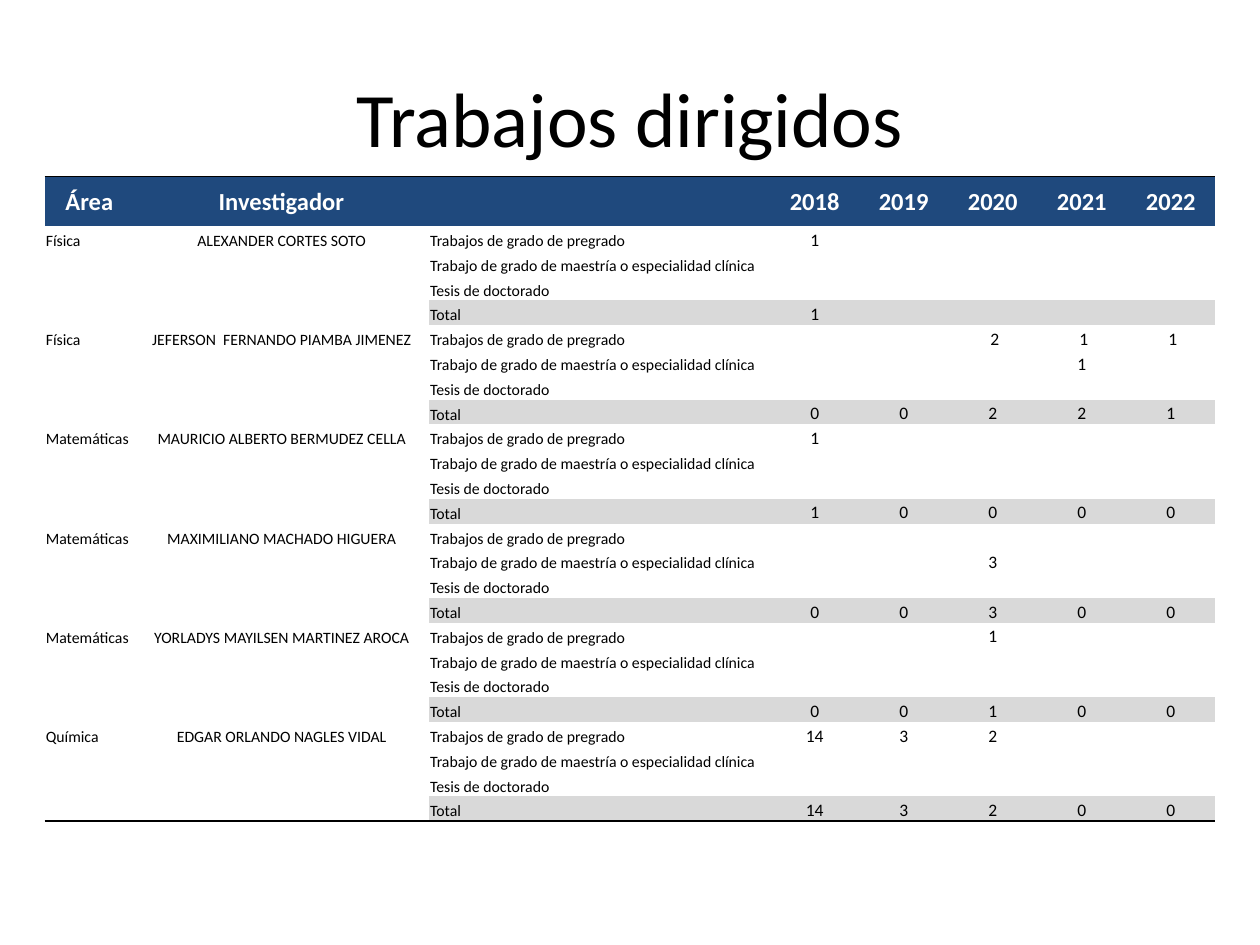
from lxml import etree
from pptx import Presentation
from pptx.dml.color import RGBColor
from pptx.enum import text
from pptx.oxml import ns
from pptx.util import Pt

BLACK = RGBColor(0, 0, 0)
WHITE = RGBColor(255, 255, 255)
NAVY = RGBColor(0x1F, 0x49, 0x7D)
GREY = RGBColor(0xD9, 0xD9, 0xD9)
FONT = "Calibri"
PLAIN = "{2D5ABB26-0587-4C30-8999-92F81FD0307C}"
LEFT, MID = text.PP_ALIGN.LEFT, text.PP_ALIGN.CENTER

WIDTHS = [51.1, 168.5, 195] + [50.9] * 5
HEAD_H, ROW_H = 28.1, 14.19
HEADS = ["Área", "Investigador", "", "2018", "2019", "2020", "2021", "2022"]
KINDS = ["Trabajos de grado de pregrado",
         "Trabajo de grado de maestría o especialidad clínica",
         "Tesis de doctorado", "Total"]
NONE = [""] * 5
# Area, researcher, then the yearly counts for each of the four kinds
GROUPS = [
    ("Física", "ALEXANDER CORTES SOTO",
     [["1", "", "", "", ""], NONE, NONE, ["1", "", "", "", ""]]),
    ("Física", "JEFERSON  FERNANDO PIAMBA JIMENEZ",
     [["", "", "\u00a02", "\u00a01", "\u00a01"], ["", "", "", "1", ""],
      NONE, list("00221")]),
    ("Matemáticas", "MAURICIO ALBERTO BERMUDEZ CELLA",
     [["1", "", "", "", ""], NONE, NONE, list("10000")]),
    ("Matemáticas", "MAXIMILIANO MACHADO HIGUERA",
     [NONE, ["", "", "3", "", ""], NONE, list("00300")]),
    ("Matemáticas", "YORLADYS MAYILSEN MARTINEZ AROCA",
     [["", "", "1", "", ""], NONE, NONE, list("00100")]),
    ("Química", "EDGAR ORLANDO NAGLES VIDAL",
     [["14", "3", "2", "", ""], NONE, NONE, ["14", "3", "2", "0", "0"]]),
]


def add_run(para, words, size, color, bold=False):
    """Add one formatted run to a paragraph."""
    run = para.add_run()
    run.text = words
    run.font.name, run.font.size, run.font.bold = FONT, Pt(size), bold
    run.font.color.rgb = color


def add_title(slide, words):
    """Add the centred slide title."""
    box = slide.shapes.add_textbox(Pt(36), Pt(21.6), Pt(648), Pt(90))
    frame = box.text_frame
    frame.word_wrap = True
    frame.vertical_anchor = text.MSO_ANCHOR.MIDDLE
    para = frame.paragraphs[0]
    para.alignment = MID
    add_run(para, words, 44, BLACK)


def set_cell(cell, words, size, align, color=BLACK, fill=None, head=False):
    """Write and format one table cell."""
    cell.margin_left = cell.margin_right = cell.margin_top = Pt(0.7)
    cell.margin_bottom = Pt(0)
    anchor = text.MSO_ANCHOR
    cell.vertical_anchor = anchor.MIDDLE if head else anchor.BOTTOM
    para = cell.text_frame.paragraphs[0]
    para.alignment = align
    if words:
        add_run(para, words, size, color, head)
    else:
        # The end mark's size keeps an empty cell from stretching its row
        end = etree.SubElement(para._p, ns.qn("a:endParaRPr"))
        end.set("sz", str(size * 100))
    if fill is None:
        cell.fill.background()
    else:
        cell.fill.solid()
        cell.fill.fore_color.rgb = fill


def add_rule(cell, side):
    """Draw a black border on one side (T or B) of a cell."""
    line = etree.Element(ns.qn("a:ln" + side), w=str(Pt(1)))
    solid = etree.SubElement(line, ns.qn("a:solidFill"))
    etree.SubElement(solid, ns.qn("a:srgbClr"), val=str(BLACK))
    cell._tc.get_or_add_tcPr().insert(0, line)


def fill_group(table, top, group):
    """Write the four rows of one researcher, starting at row top."""
    area, person, counts = group
    for i, (kind, years) in enumerate(zip(KINDS, counts)):
        names = [area, person] if i == 0 else ["", ""]
        for col, words in enumerate(names + [kind] + years):
            set_cell(table.cell(top + i, col), words,
                     10 if col > 2 else 9,
                     LEFT if col in (0, 2) else MID,
                     fill=GREY if kind == "Total" and col > 1 else None)


def add_grid(slide):
    """Add the table of supervised work."""
    count = len(GROUPS) * len(KINDS)
    frame = slide.shapes.add_table(
        count + 1, len(HEADS), Pt(25.5), Pt(101), Pt(sum(WIDTHS)),
        Pt(HEAD_H + count * ROW_H))
    table = frame.table
    table.horz_banding = False
    table._tbl.tblPr.find(ns.qn("a:tableStyleId")).text = PLAIN
    for col, width in zip(table.columns, WIDTHS):
        col.width = Pt(width)
    for i, row in enumerate(table.rows):
        row.height = Pt(ROW_H if i else HEAD_H)
    for col, words in enumerate(HEADS):
        set_cell(table.cell(0, col), words, 14, MID, WHITE, NAVY, True)
    for i, group in enumerate(GROUPS):
        fill_group(table, 1 + i * len(KINDS), group)
    for col in range(len(HEADS)):
        add_rule(table.cell(0, col), "T")
        add_rule(table.cell(count, col), "B")


def main():
    """Build and save the slide."""
    deck = Presentation()
    deck.slide_width, deck.slide_height = Pt(720), Pt(540)
    slide = deck.slides.add_slide(deck.slide_layouts[6])
    add_title(slide, "Trabajos dirigidos")
    add_grid(slide)
    deck.save("out.pptx")


main()
